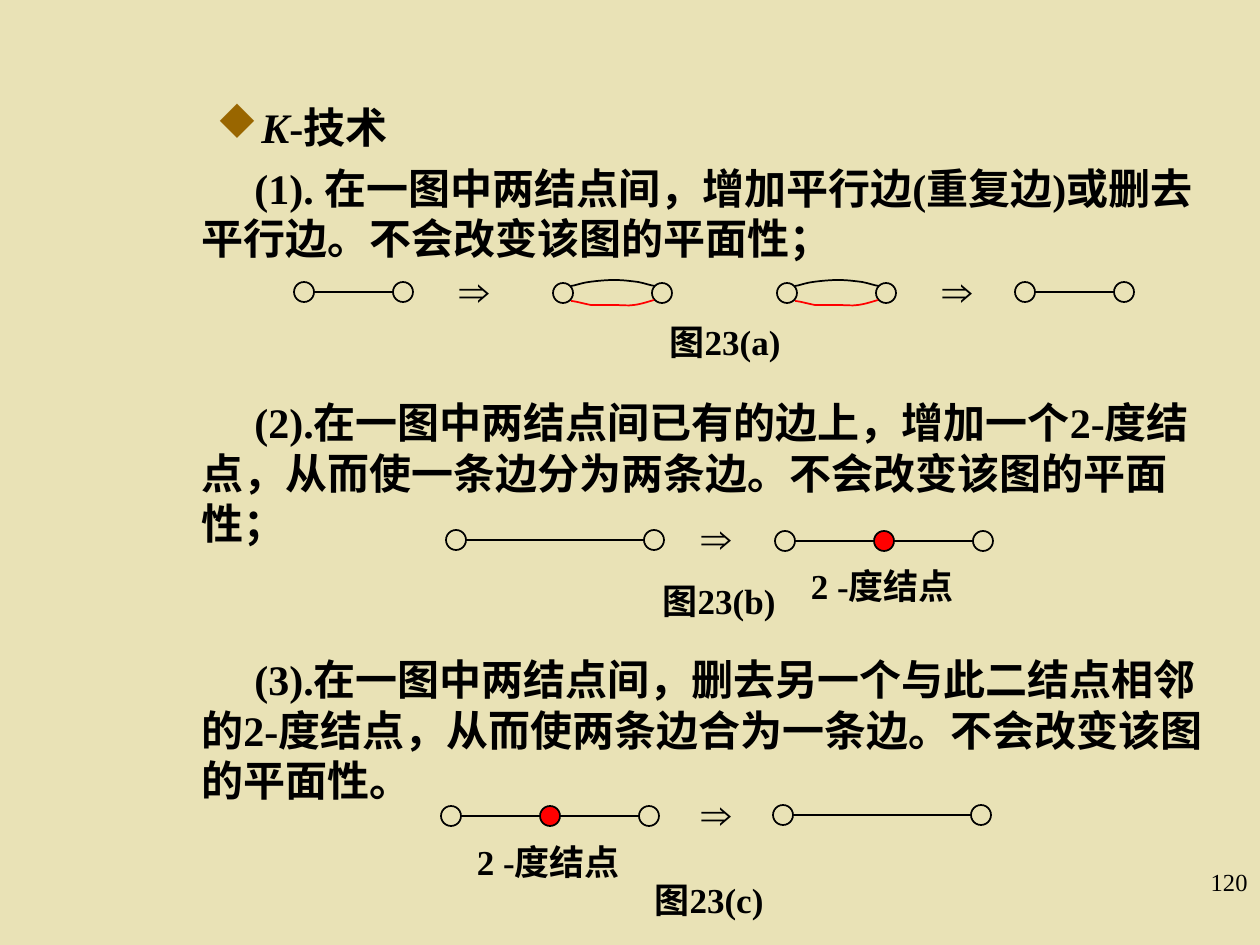
from dataclasses import dataclass

import pptx
import pptx.dml.color
import pptx.enum.shapes
import pptx.enum.text
import pptx.oxml.ns
import pptx.util
from lxml import etree

EMU_PER_PX = 914400 / 126
NODE_SIZE = 20
EDGE = 99
COLORS = {"paper": "E9E2B6", "ink": "000000", "accent": "FF0000", "bullet": "996600"}
SERIF = "Times New Roman"
ALIGN = pptx.enum.text.PP_ALIGN
ANCHOR = pptx.enum.text.MSO_ANCHOR

# Bezier control points from the start of each parallel edge
UPPER_BEND = [(0, 0), (3, 0), (10, -3), (18, -4), (25, -5), (35, -6), (43, -6),
              (52, -6), (59, -5), (67, -4), (73, -3), (81, 0), (84, 0)]
LOWER_BEND = [(0, 0), (4, 0), (14, 3), (20, 4), (28, 4), (35, 4), (43, 4),
              (50, 4), (57, 5), (63, 4), (71, 3), (79, 0), (83, -1)]


@dataclass
class Graph:
    x: int  # centre of the first node
    y: int
    nodes: int = 2
    gap: int = EDGE
    parallel: bool = False


@dataclass
class Label:
    text: str
    left: int
    top: int
    width: int
    height: int
    size: int = 20
    font: str = SERIF
    bold: bool = True
    align: ALIGN = ALIGN.CENTER
    anchor: ANCHOR = ANCHOR.TOP
    padded: bool = True


@dataclass
class Rule:
    text: str
    space_before: float


def arrow(left: int, top: int) -> Label:
    return Label("⇒", left, top, 73, 50, size=24, font="Arial",
                 anchor=ANCHOR.MIDDLE, padded=False)


def caption(text: str, left: int, top: int) -> Label:
    return Label(text, left, top, 158, 55)


def degree_label(left: int, top: int) -> Label:
    return Label("2 -度结点", left, top, 147, 84, padded=False)


GRAPHS = [
    Graph(304, 292), Graph(563, 293, parallel=True),
    Graph(787, 293, parallel=True), Graph(1025, 292),
    Graph(456, 540, gap=2 * EDGE), Graph(785, 541, nodes=3),
    Graph(451, 816, nodes=3), Graph(783, 815, gap=2 * EDGE),
]
LABELS = [
    arrow(438, 265), arrow(921, 265), arrow(680, 512), arrow(680, 788),
    caption("图23(a)", 646, 314), caption("图23(b)", 640, 573), caption("图23(c)", 630, 872),
    degree_label(809, 565), degree_label(475, 841),
    Label("120", 998, 861, 262, 63, size=14, bold=False, align=ALIGN.RIGHT),
]
RULES = [
    Rule("(1). 在一图中两结点间，增加平行边(重复边)或删去平行边。不会改变该图的平面性；", 6),
    Rule("(2).在一图中两结点间已有的边上，增加一个2-度结点，从而使一条边分为两条边。"
         "不会改变该图的平面性；", 76.5),
    Rule("(3).在一图中两结点间，删去另一个与此二结点相邻的2-度结点，从而使两条边合为一条边。"
         "不会改变该图的平面性。", 60.5),
]


def px(length: float) -> int:
    return round(length * EMU_PER_PX)


def rgb(name: str) -> pptx.dml.color.RGBColor:
    return pptx.dml.color.RGBColor.from_string(COLORS[name])


def set_font(font, size: int, name: str = SERIF, bold: bool = True) -> None:
    font.size = pptx.util.Pt(size)
    font.name = name
    font.bold = bold
    font.color.rgb = rgb("ink")


def set_line(shape, color: str = "ink") -> None:
    shape.line.color.rgb = rgb(color)
    shape.line.width = pptx.util.Pt(1)


def draw_node(slide, x: int, y: int, accented: bool) -> None:
    node = slide.shapes.add_shape(
        pptx.enum.shapes.MSO_SHAPE.OVAL, px(x - NODE_SIZE / 2), px(y - NODE_SIZE / 2),
        px(NODE_SIZE), px(NODE_SIZE))
    node.shadow.inherit = False
    if accented:
        node.fill.solid()
        node.fill.fore_color.rgb = rgb("accent")
    else:
        node.fill.background()
    set_line(node)


def draw_edge(slide, start: int, end: int, y: int) -> None:
    edge = slide.shapes.add_connector(
        pptx.enum.shapes.MSO_CONNECTOR.STRAIGHT, px(start), px(y), px(end), px(y))
    set_line(edge)
    etree.SubElement(edge._element.spPr, pptx.oxml.ns.qn("a:effectLst"))


def draw_bend(slide, x: int, y: int, controls: list[tuple[int, int]], color: str) -> None:
    """Draw an open outline whose points, three by three, become Bezier curves."""
    builder = slide.shapes.build_freeform(px(x), px(y))
    builder.add_line_segments([(px(x + dx), px(y + dy)) for dx, dy in controls[1:]], close=False)
    bend = builder.convert_to_shape()
    bend.shadow.inherit = False
    bend.fill.background()
    set_line(bend, color)
    outline = next(bend._element.iter(pptx.oxml.ns.qn("a:path")))
    segments = outline.findall(pptx.oxml.ns.qn("a:lnTo"))
    for first in range(0, len(segments), 3):
        curve = etree.SubElement(outline, pptx.oxml.ns.qn("a:cubicBezTo"))
        for segment in segments[first:first + 3]:
            curve.append(segment[0])
            outline.remove(segment)


def draw_graph(slide, graph: Graph) -> None:
    centres = [graph.x + i * graph.gap for i in range(graph.nodes)]
    for i, x in enumerate(centres):
        draw_node(slide, x, graph.y, accented=0 < i < graph.nodes - 1)
    if graph.parallel:
        draw_bend(slide, graph.x + 8, graph.y - 7, UPPER_BEND, "ink")
        draw_bend(slide, graph.x + 8, graph.y + 8, LOWER_BEND, "accent")
        return
    for left, right in zip(centres, centres[1:]):
        draw_edge(slide, left + NODE_SIZE // 2, right - NODE_SIZE // 2, graph.y)


def draw_label(slide, label: Label) -> None:
    box = slide.shapes.add_textbox(
        px(label.left), px(label.top), px(label.width), px(label.height))
    frame = box.text_frame
    frame.word_wrap = True
    frame.vertical_anchor = label.anchor
    if not label.padded:
        frame.margin_left = frame.margin_right = frame.margin_top = frame.margin_bottom = 0
    paragraph = frame.paragraphs[0]
    paragraph.text = label.text
    paragraph.alignment = label.align
    set_font(paragraph.font, label.size, label.font, label.bold)


def set_indent(paragraph, margin: int, first_line: int):
    """Indent the paragraph and keep punctuation inside the text area."""
    properties = paragraph._p.get_or_add_pPr()
    properties.set("marL", str(px(margin)))
    properties.set("indent", str(px(first_line)))
    properties.set("hangingPunct", "0")
    return properties


def draw_body(slide) -> None:
    frame = slide.shapes.add_textbox(px(189), px(95), px(1050), px(798)).text_frame
    frame.word_wrap = True
    heading = frame.paragraphs[0]
    properties = set_indent(heading, 60, -45)
    bullet_color = etree.SubElement(properties, pptx.oxml.ns.qn("a:buClr"))
    etree.SubElement(bullet_color, pptx.oxml.ns.qn("a:srgbClr"), val=COLORS["bullet"])
    etree.SubElement(properties, pptx.oxml.ns.qn("a:buFont"), typeface="Wingdings", charset="2")
    etree.SubElement(properties, pptx.oxml.ns.qn("a:buChar"), char="u")
    set_font(heading.font, 24)
    symbol = heading.add_run()
    symbol.text = "K"
    symbol.font.italic = True
    heading.add_run().text = "-技术"
    for rule in RULES:
        paragraph = frame.add_paragraph()
        paragraph.text = rule.text
        set_indent(paragraph, 0, 53)
        paragraph.space_before = pptx.util.Pt(rule.space_before)
        set_font(paragraph.font, 24)


def main() -> None:
    deck = pptx.Presentation()
    deck.slide_width, deck.slide_height = px(1260), px(945)
    slide = deck.slides.add_slide(deck.slide_layouts[6])
    slide.background.fill.solid()
    slide.background.fill.fore_color.rgb = rgb("paper")
    draw_body(slide)
    for graph in GRAPHS:
        draw_graph(slide, graph)
    for label in LABELS:
        draw_label(slide, label)
    deck.save("out.pptx")


if __name__ == "__main__":
    main()
